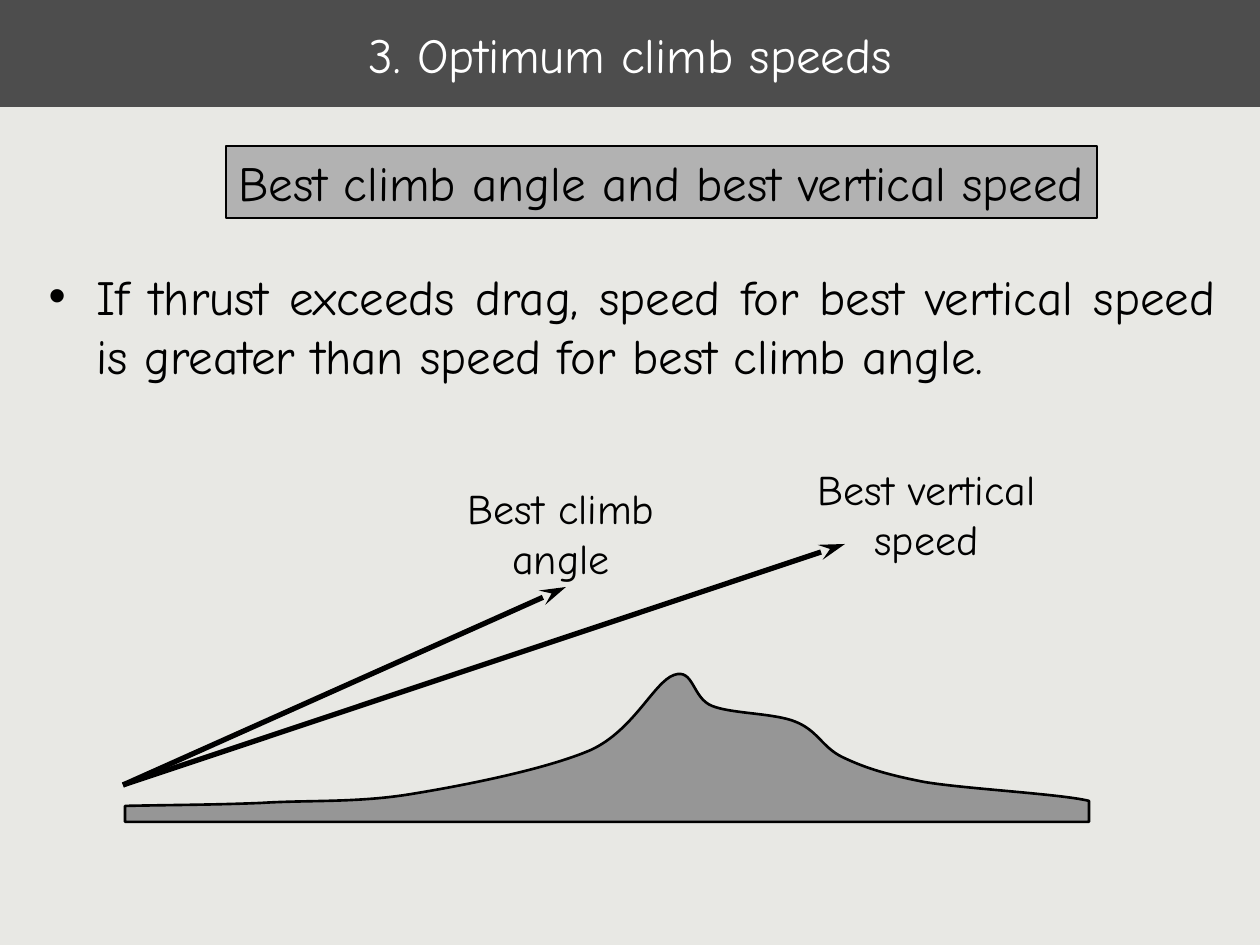
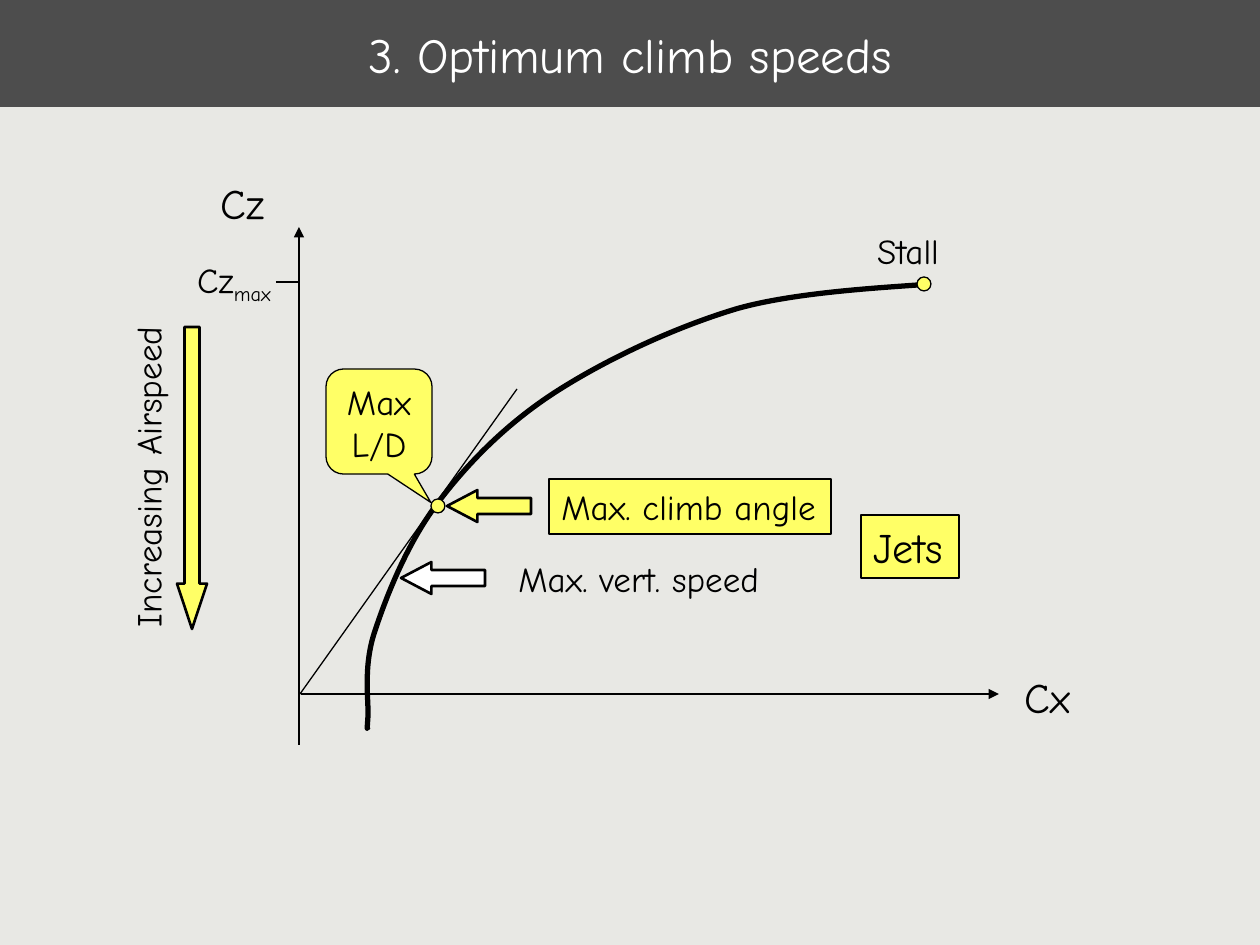
import pptx
import pptx.util
import pptx.dml.color
import pptx.enum.shapes
import pptx.enum.text
import pptx.oxml
import pptx.oxml.ns

SCALE = 914400 / 126
FONT = "Comic Neue"
TITLE = "3. Optimum climb speeds"
COLORS = {
    "page": "E8E8E4",
    "band": "4D4D4D",
    "box": "B2B2B2",
    "terrain": "969696",
    "accent": "FFFF66",
    "white": "FFFFFF",
    "ink": "000000",
}
RGB = {k: pptx.dml.color.RGBColor.from_string(v) for k, v in COLORS.items()}
MSO = pptx.enum.shapes.MSO_SHAPE
PP = pptx.enum.text.PP_ALIGN
ANCHOR = pptx.enum.text.MSO_ANCHOR
AUTO = pptx.enum.text.MSO_AUTO_SIZE
qn = pptx.oxml.ns.qn


def px(*values):
    return [pptx.util.Emu(round(v * SCALE)) for v in values]


def write(sp, text, size=20, color="ink", align=PP.LEFT, anchor=ANCHOR.TOP,
          wrap=False, auto=AUTO.SHAPE_TO_FIT_TEXT, sub="", bullet=""):
    tf = sp.text_frame
    tf.text = text
    tf.word_wrap = wrap
    tf.auto_size = auto
    tf.vertical_anchor = anchor
    if sub:
        r = tf.paragraphs[0].add_run()
        r.text = sub
        r.font._element.set("baseline", "-25000")
    for p in tf.paragraphs:
        if bullet:
            pPr = p._p.get_or_add_pPr()
            indent = px(48)[0]
            pPr.set("marL", str(indent))
            pPr.set("indent", str(-indent))
            ns = pptx.oxml.ns.nsdecls("a")
            pPr.append(pptx.oxml.parse_xml(
                f'<a:buClr {ns}><a:srgbClr val="{COLORS[color]}"/></a:buClr>'))
            pPr.append(pptx.oxml.parse_xml(f'<a:buChar {ns} char="{bullet}"/>'))
        p.alignment = align
        p.space_before = pptx.util.Pt(0)
        for r in p.runs:
            r.font.name = FONT
            r.font.size = pptx.util.Pt(size)
            r.font.color.rgb = RGB[color]


prs = pptx.Presentation()
prs.slide_width, prs.slide_height = px(1260, 945)
bg = prs.slide_master.background.fill
bg.solid()
bg.fore_color.rgb = RGB["page"]

slides = []
for layout in (1, 5):
    s = prs.slides.add_slide(prs.slide_layouts[layout])
    sp = s.shapes.title
    sp.left, sp.top, sp.width, sp.height = px(0, 0, 1260, 107)
    sp.fill.solid()
    sp.fill.fore_color.rgb = RGB["band"]
    write(sp, TITLE, size=28, color="white", align=PP.CENTER,
          anchor=ANCHOR.MIDDLE, wrap=True, auto=AUTO.NONE)
    slides.append(s)

sp = slides[0].placeholders[1]
sp.left, sp.top, sp.width, sp.height = px(36, 260, 1192, 631)
write(sp, "If thrust exceeds drag, speed for best vertical speed "
      "is greater than speed for best climb angle.",
      size=28, align=PP.JUSTIFY, wrap=True, auto=AUTO.NONE, bullet="•")

climb = slides[0].shapes
polar = slides[1].shapes.add_group_shape().shapes

terrain = [
    (125, 806),
    (169, 805), (213, 805), (261, 803),
    (309, 800), (358, 803), (412, 794),
    (467, 785), (547, 769), (591, 750),
    (634, 730), (654, 682), (674, 675),
    (694, 668), (692, 698), (712, 706),
    (732, 714), (775, 713), (796, 722),
    (818, 731), (822, 747), (842, 757),
    (863, 767), (883, 774), (924, 782),
    (965, 789), (1061, 794), (1089, 801),
]
drag_polar = [
    (368, 727),
    (367, 729), (367, 732), (368, 717),
    (369, 702), (363, 669), (374, 634),
    (386, 597), (407, 544), (437, 504),
    (467, 464), (505, 425), (554, 393),
    (605, 360), (673, 328), (736, 309),
    (798, 291), (897, 287), (930, 284),
]
curves = [
    (climb, terrain, [(1089, 822), (125, 822)], "terrain", 1.5),
    (polar, drag_polar, [], None, 3),
]
for shapes, curve, base, fill, width in curves:
    fb = shapes.build_freeform(*curve[0], scale=SCALE)
    fb.add_line_segments(curve[1:] + base, close=bool(base))
    sp = fb.convert_to_shape()
    outline = next(sp._element.iter(qn("a:path")))
    segments = outline.findall(qn("a:lnTo"))
    for i in range(0, len(curve) - 1, 3):
        bezier = outline.makeelement(qn("a:cubicBezTo"))
        segments[i].addprevious(bezier)
        for segment in segments[i:i + 3]:
            bezier.append(segment[0])
            outline.remove(segment)
    sp.shadow.inherit = False
    if fill:
        sp.fill.solid()
        sp.fill.fore_color.rgb = RGB[fill]
    else:
        sp.fill.background()
    sp.line.color.rgb = RGB["ink"]
    sp.line.width = pptx.util.Pt(width)

stealth = {"type": "stealth", "len": "lg"}
triangle = {"type": "triangle"}
lines = [
    (climb, 123, 785, 566, 587, 3, stealth),
    (climb, 123, 785, 845, 544, 3, stealth),
    (polar, 301, 694, 999, 694, 1.5, triangle),
    (polar, 299, 745, 299, 227, 1.5, triangle),
    (polar, 300, 694, 517, 389, 0.75, None),
    (polar, 276, 282, 299, 282, 0.75, None),
]
for shapes, x1, y1, x2, y2, width, head in lines:
    sp = shapes.add_connector(pptx.enum.shapes.MSO_CONNECTOR.STRAIGHT,
                              *px(x1, y1, x2, y2))
    sp.line.color.rgb = RGB["ink"]
    sp.line.width = pptx.util.Pt(width)
    spPr = sp._element.spPr
    if head:
        ln = spPr.find(qn("a:ln"))
        ln.append(ln.makeelement(qn("a:tailEnd"), head))
    spPr.append(spPr.makeelement(qn("a:effectLst")))

callout = dict(text="Max\vL/D", align=PP.CENTER, wrap=True)
heading = dict(text="Best climb angle and best vertical speed", size=28)
arrow = [0.5, 0.951]
boxes = [
    (climb, MSO.RECTANGLE, (226, 146, 871, 72), "box", 1, [], heading),
    (polar, MSO.ROUNDED_RECTANGULAR_CALLOUT, (326, 369, 106, 105),
     "accent", 0.75, [0.489, 0.771, 0.167], callout),
    (polar, MSO.OVAL, (431, 499, 14, 14), "accent", 0.75, [], None),
    (polar, MSO.OVAL, (917, 277, 14, 14), "accent", 0.75, [], None),
    (polar, MSO.LEFT_ARROW, (447, 490, 84, 32), "accent", 1.5, arrow, None),
    (polar, MSO.LEFT_ARROW, (401, 562, 84, 32), "white", 1.5, arrow, None),
    (polar, MSO.DOWN_ARROW, (177, 327, 30, 302), "accent", 1.5, [0.5, 1.51], None),
    (polar, MSO.RECTANGLE, (549, 479, 282, 55), "accent", 1.5, [],
     dict(text="Max. climb angle")),
    (polar, MSO.RECTANGLE, (861, 515, 98, 63), "accent", 1.5, [],
     dict(text="Jets", size=24)),
]
for shapes, kind, place, fill, width, adjustments, label in boxes:
    sp = shapes.add_shape(kind, *px(*place))
    sp.shadow.inherit = False
    sp.fill.solid()
    sp.fill.fore_color.rgb = RGB[fill]
    sp.line.color.rgb = RGB["ink"]
    sp.line.width = pptx.util.Pt(width)
    for i, value in enumerate(adjustments):
        sp.adjustments[i] = value
    if label:
        write(sp, **label)

labels = [
    (climb, (455, 476, 212, 113), 0, "Best climb\nangle",
     dict(size=24, align=PP.CENTER)),
    (climb, (805, 457, 243, 113), 0, "Best vertical\nspeed",
     dict(size=24, align=PP.CENTER)),
    (polar, (208, 171, 72, 63), 0, "Cz", dict(size=24)),
    (polar, (1012, 665, 74, 63), 0, "Cx", dict(size=24)),
    (polar, (843, 223, 130, 55), 0, "Stall", dict(align=PP.CENTER, wrap=True)),
    (polar, (180, 252, 108, 60), 0, "Cz",
     dict(sub="max", align=PP.CENTER, wrap=True)),
    (polar, (506, 551, 270, 55), 0, "Max. vert. speed", {}),
    (polar, (-15, 449, 326, 55), 270, "Increasing Airspeed", {}),
]
for shapes, place, rotation, text, style in labels:
    sp = shapes.add_textbox(*px(*place))
    sp.rotation = rotation
    write(sp, text, **style)

prs.save("out.pptx")
